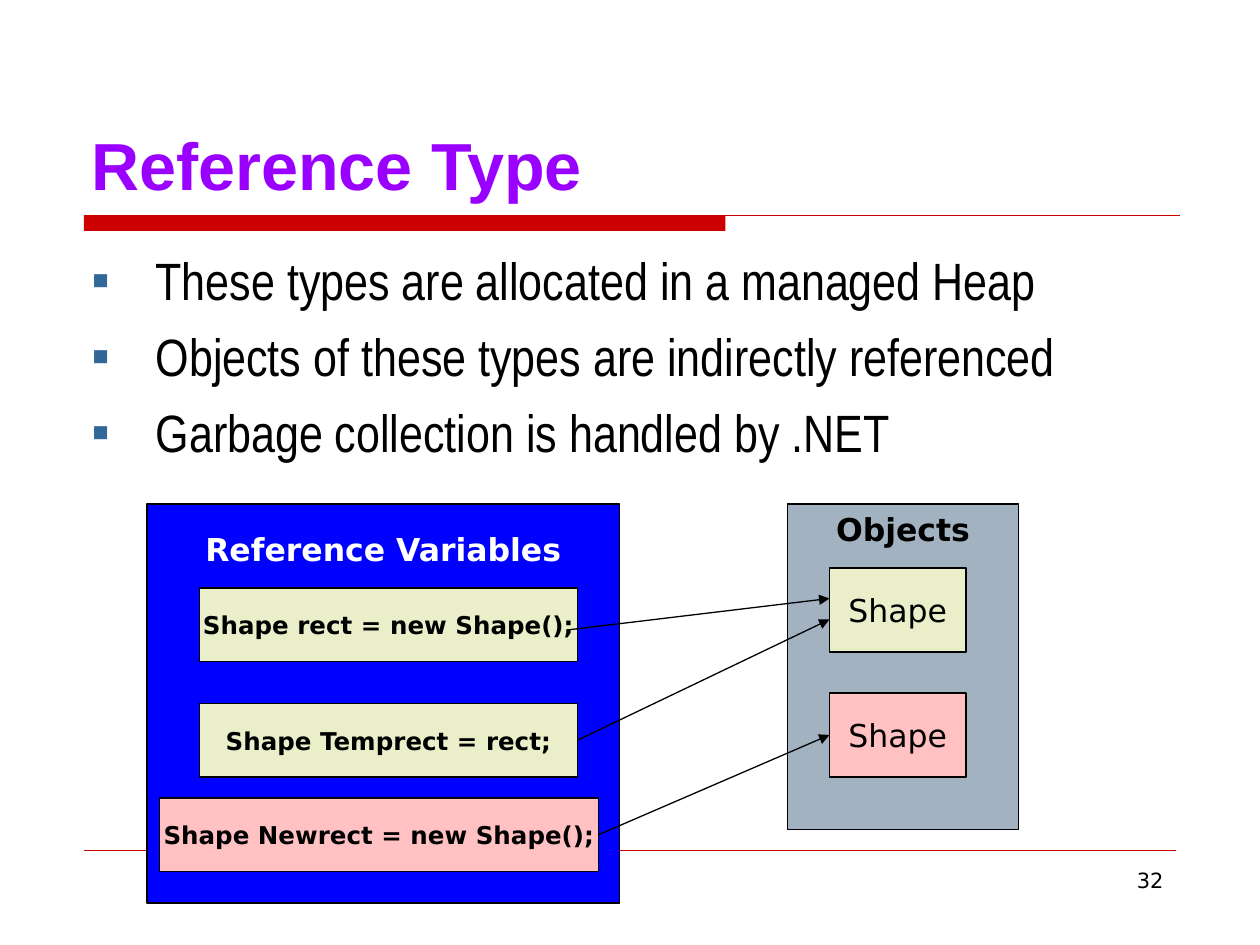
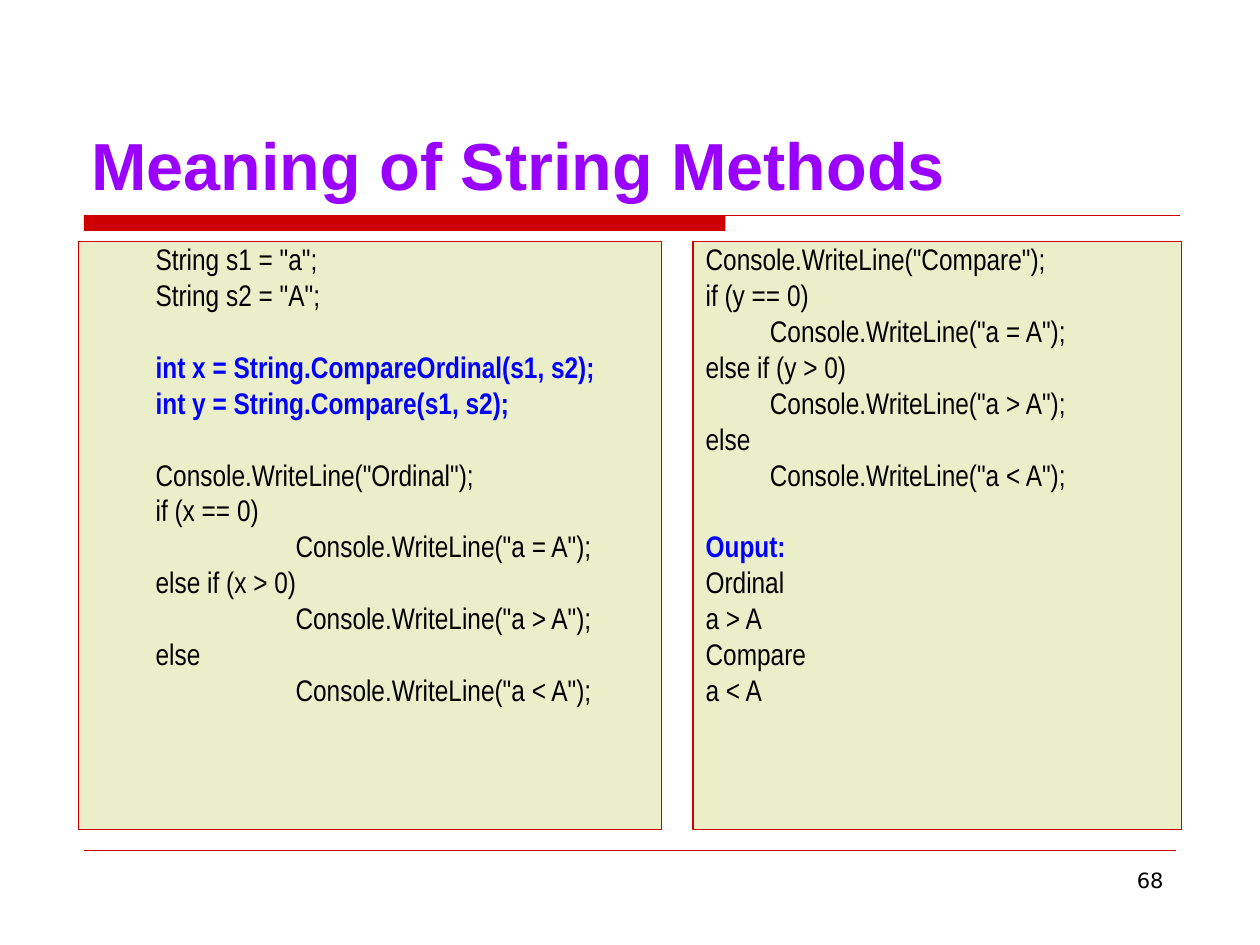
import dataclasses

import lxml.etree
import pptx
import pptx.dml.color
import pptx.enum.shapes
import pptx.enum.text
import pptx.oxml.ns
import pptx.util

RGB = pptx.dml.color.RGBColor
RED = RGB(0xCC, 0x00, 0x00)
PURPLE = RGB(0x99, 0x00, 0xFF)
BLUE = RGB(0x00, 0x00, 0xFF)
STEEL = RGB(0x33, 0x66, 0x99)
GREY = RGB(0xA3, 0xB2, 0xC1)
CREAM = RGB(0xEB, 0xEF, 0xC9)
PINK = RGB(0xFF, 0xC1, 0xC1)
BLACK = RGB(0x00, 0x00, 0x00)
WHITE = RGB(0xFF, 0xFF, 0xFF)

TITLE_FONT = "Arial"
BODY_FONT = "Arial Narrow"
LABEL_FONT = "DejaVu Sans"

# The slide is a grid of 120 columns by 90 rows.
SLIDE_WIDTH = pptx.util.Inches(10)
SLIDE_HEIGHT = pptx.util.Inches(7.5)
CELL = SLIDE_WIDTH // 120
HANGING = pptx.util.Inches(0.51)
LEFT, RIGHT = 1, 3

ALIGN = pptx.enum.text.PP_ALIGN
ANCHOR = pptx.enum.text.MSO_ANCHOR
RECTANGLE = pptx.enum.shapes.MSO_SHAPE.RECTANGLE

BULLETS = [
    "These types are allocated in a managed Heap",
    "Objects of these types are indirectly referenced",
    "Garbage collection is handled by .NET",
]
ORDINAL_CODE = """String s1 = "a";
String s2 = "A";

int x = String.CompareOrdinal(s1, s2);
int y = String.Compare(s1, s2);

Console.WriteLine("Ordinal");
if (x == 0)
    Console.WriteLine("a = A");
else if (x > 0)
    Console.WriteLine("a > A");
else
    Console.WriteLine("a < A");"""
COMPARE_CODE = """Console.WriteLine("Compare");
if (y == 0)
    Console.WriteLine("a = A");
else if (y > 0)
    Console.WriteLine("a > A");
else
    Console.WriteLine("a < A");

Ouput:
Ordinal
a > A
Compare
a < A"""
HIGHLIGHTED = ("int ", "Ouput:")


@dataclasses.dataclass
class Box:
    """A rectangle in grid columns and rows."""
    column: float
    row: float
    columns: float
    rows: float

    def inner(self, column, row, columns, rows):
        return Box(self.column + column, self.row + row, columns, rows)

    def lengths(self):
        return [round(cells * CELL) for cells in dataclasses.astuple(self)]


TITLE_BOX = Box(7.5, 4, 105, 16)
BODY_BOX = Box(7.5, 23, 105, 56)


def set_font(paragraph, name, size, color, bold=False):
    font = paragraph.font
    font.name, font.size, font.bold = name, pptx.util.Pt(size), bold
    font.color.rgb = color


def place(shape, box):
    shape.left, shape.top, shape.width, shape.height = box.lengths()


def set_bullet(paragraph, left, indent, symbol=None):
    properties = paragraph._p.get_or_add_pPr()
    properties.set("marL", str(left))
    properties.set("indent", str(indent))

    def add(parent, tag, **attributes):
        name = pptx.oxml.ns.qn(tag)
        return lxml.etree.SubElement(parent, name, attributes)

    if symbol is None:
        add(properties, "a:buNone")
        return
    add(add(properties, "a:buClr"), "a:srgbClr", val=str(STEEL))
    add(properties, "a:buFont", typeface=TITLE_FONT)
    add(properties, "a:buChar", char=symbol)


def add_block(page, box, fill, line=BLACK):
    block = page.shapes.add_shape(RECTANGLE, *box.lengths())
    block.shadow.inherit = False
    block.fill.solid()
    block.fill.fore_color.rgb = fill
    if line is None:
        block.line.fill.background()
    else:
        block.line.color.rgb = line
        block.line.width = pptx.util.Pt(0.75)
    return block


def add_label(page, box, fill, text, size, color=BLACK, bold=True,
              anchor=ANCHOR.MIDDLE, top_inset=0.05):
    block = add_block(page, box, fill)
    frame = block.text_frame
    frame.word_wrap = False
    frame.vertical_anchor = anchor
    frame.margin_top = pptx.util.Inches(top_inset)
    paragraph = frame.paragraphs[0]
    paragraph.text = text
    paragraph.alignment = ALIGN.CENTER
    set_font(paragraph, LABEL_FONT, size, color, bold)
    return block


def add_line(page, start, end, color, width, arrow=False):
    ends = [round(cells * CELL) for cells in (*start, *end)]
    line = page.shapes.add_connector(
        pptx.enum.shapes.MSO_CONNECTOR.STRAIGHT, *ends)
    line.line.color.rgb = color
    line.line.width = pptx.util.Pt(width)
    if arrow:
        lxml.etree.SubElement(line.line._get_or_add_ln(),
                              pptx.oxml.ns.qn("a:tailEnd"), type="triangle")
    lxml.etree.SubElement(line._element.spPr, pptx.oxml.ns.qn("a:effectLst"))
    return line


def add_page(deck, layout, title, number):
    """Add a slide with the shared title, red rules and page number."""
    page = deck.slides.add_slide(deck.slide_layouts.get_by_name(layout))
    add_block(page, Box(8, 20.5, 61.1, 1.5), RED, line=None)
    add_line(page, (8, 20.5), (112.4, 20.5), RED, 0.75)
    add_line(page, (8, 81), (112, 81), RED, 0.25)

    number_box = page.shapes.add_textbox(*Box(86, 82, 26, 6.25).lengths())
    number_box.text_frame.word_wrap = True
    paragraph = number_box.text_frame.paragraphs[0]
    paragraph.text = str(number)
    paragraph.alignment = ALIGN.RIGHT
    set_font(paragraph, LABEL_FONT, 12, BLACK)

    place(page.shapes.title, TITLE_BOX)
    frame = page.shapes.title.text_frame
    frame.auto_size = pptx.enum.text.MSO_AUTO_SIZE.NONE
    frame.vertical_anchor = ANCHOR.BOTTOM
    paragraph = frame.paragraphs[0]
    paragraph.text = title
    paragraph.alignment = ALIGN.LEFT
    set_font(paragraph, TITLE_FONT, 38, PURPLE, bold=True)
    return page


def add_paragraphs(body, box, texts):
    """Place a body placeholder and yield one paragraph for each text."""
    place(body, box)
    frame = body.text_frame
    frame.auto_size = pptx.enum.text.MSO_AUTO_SIZE.NONE
    for index, text in enumerate(texts):
        paragraph = frame.add_paragraph() if index else frame.paragraphs[0]
        paragraph.text = text
        yield paragraph


def fill_bullets(body, box):
    for index, paragraph in enumerate(add_paragraphs(body, box, BULLETS)):
        set_bullet(paragraph, HANGING, -HANGING, "▪")
        paragraph.space_before = pptx.util.Pt(7.5 if index else 0)
        set_font(paragraph, BODY_FONT, 30, BLACK)


def fill_code(body, box, code, margin, step):
    """Fill a panel with code; a blank line becomes space before the next."""
    body.fill.solid()
    body.fill.fore_color.rgb = CREAM
    body.line.color.rgb = RED
    body.line.width = pptx.util.Pt(0.75)

    lines, spaces = [], []
    for block in code.split("\n\n"):
        for index, line in enumerate(block.split("\n")):
            spaces.append(0 if not lines else 4.2 if index else 24.7)
            lines.append(line)
    texts = [line.strip() for line in lines]
    for paragraph, line, space in zip(
            add_paragraphs(body, box, texts), lines, spaces):
        nested = line.startswith(" ")
        set_bullet(paragraph, margin + step * nested, 0)
        paragraph.line_spacing = 0.8
        paragraph.space_before = pptx.util.Pt(space)
        bold = line.startswith(HIGHLIGHTED)
        set_font(paragraph, BODY_FONT, 17, BLUE if bold else BLACK, bold)


def add_variables(page, box):
    add_label(page, box, BLUE, "Reference Variables", 18, WHITE,
              anchor=ANCHOR.TOP, top_inset=0.21)
    variables = [
        (box.inner(5, 8, 36, 7), CREAM, "Shape rect = new Shape();"),
        (box.inner(5, 19, 36, 7), CREAM, "Shape Temprect = rect;"),
        (box.inner(1.2, 28, 41.8, 7), PINK, "Shape Newrect = new Shape();"),
    ]
    return [add_label(page, *variable, 14) for variable in variables]


def add_objects(page, box):
    add_label(page, box, GREY, "Objects", 18, anchor=ANCHOR.TOP)
    return [add_label(page, box.inner(4, row, 13, 8), fill, "Shape", 18,
                      bold=False)
            for row, fill in ((6.1, CREAM), (18, PINK))]


def add_heap_diagram(page, box):
    """Draw variables, objects and the arrows that refer from one to other."""
    variables = add_variables(page, box.inner(0, 0, 45, 38))
    objects = add_objects(page, box.inner(61, 0, 22, 31))

    def point_at(start, end):
        origin, target = box.inner(*start, 0, 0), box.inner(*end, 0, 0)
        return add_line(page, (origin.column, origin.row),
                        (target.column, target.row), BLACK, 0.75, arrow=True)

    point_at((40, 12), (65, 9))
    from_temporary = point_at((41, 22), (65, 11))
    from_temporary.begin_connect(variables[1], RIGHT)
    from_new = point_at((43, 31), (65, 22))
    from_new.begin_connect(variables[2], RIGHT)
    from_new.end_connect(objects[1], LEFT)


def add_reference_page(deck):
    page = add_page(deck, "Title and Content", "Reference Type", 32)
    fill_bullets(page.placeholders[1], BODY_BOX)
    add_heap_diagram(page, BODY_BOX.inner(6.5, 25, 83, 38))


def add_string_page(deck):
    page = add_page(deck, "Two Content", "Meaning of String Methods", 68)
    fill_code(page.placeholders[1], BODY_BOX.inner(0, 0, 55.5, 56),
              ORDINAL_CODE, HANGING, pptx.util.Inches(1.11))
    fill_code(page.placeholders[2], BODY_BOX.inner(58.5, 0, 46.5, 56),
              COMPARE_CODE, 0, HANGING)


def main():
    deck = pptx.Presentation()
    deck.slide_width, deck.slide_height = SLIDE_WIDTH, SLIDE_HEIGHT
    add_reference_page(deck)
    add_string_page(deck)
    deck.save("out.pptx")


if __name__ == "__main__":
    main()
